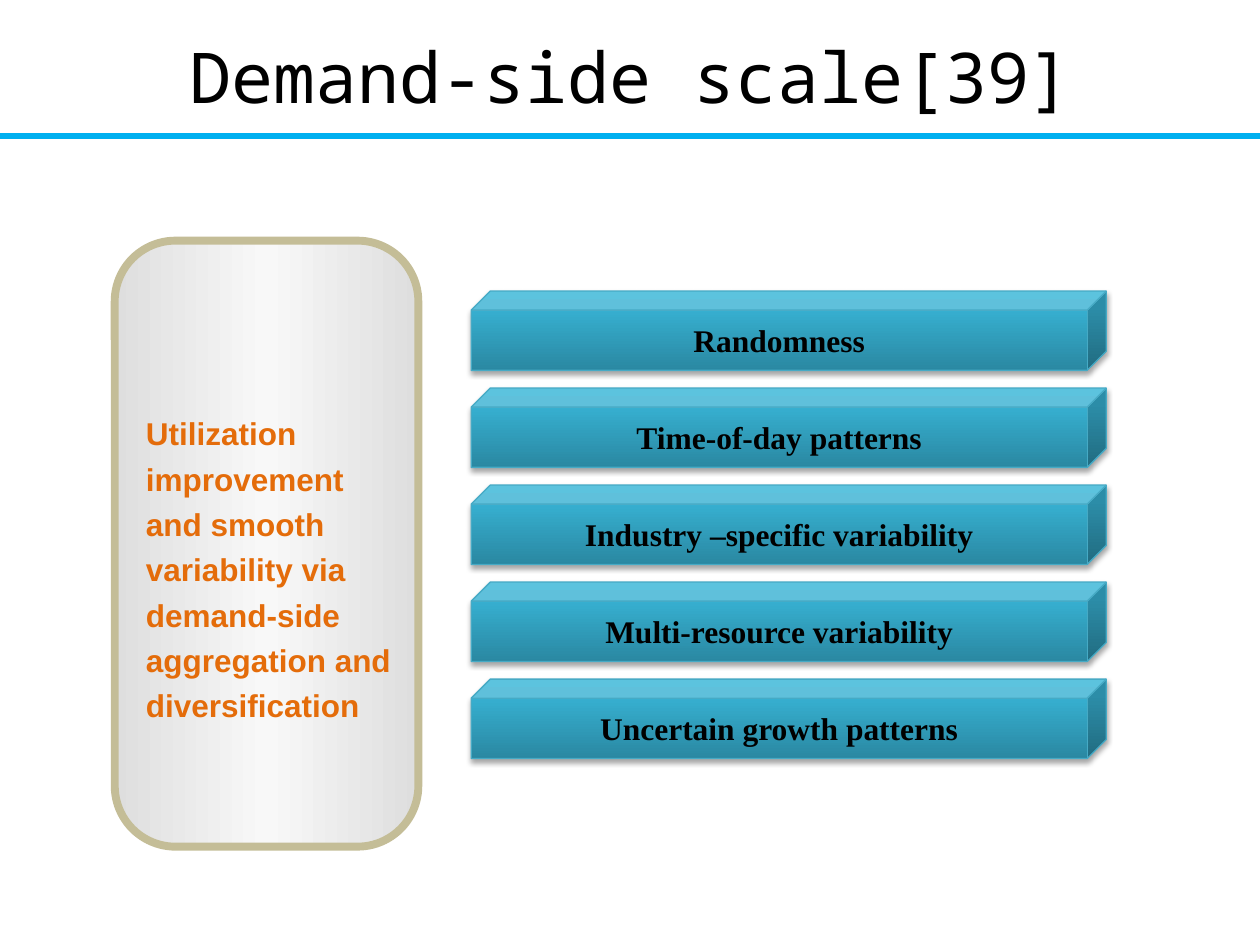
from dataclasses import dataclass

from lxml import etree
from pptx import Presentation
from pptx import util as u
from pptx.dml.color import RGBColor
from pptx.enum import shapes, text
from pptx.oxml import parse_xml
from pptx.oxml.ns import nsdecls, qn


@dataclass(frozen=True)
class Theme:
    ink: str = "000000"
    rule: str = "00B0F0"
    accent: str = "E46C0A"
    panel_edge: str = "C4BD97"
    panel_stops: tuple = ((0, "DEDEDE"), (50, "F8F8F8"), (100, "DEDEDE"))
    bar_edge: str = "46AAC5"
    bar_stops: tuple = ((0, "2A88A2"), (80, "37B1D2"), (100, "34B4D6"))
    title_size: int = 40
    body_size: int = 18
    title_face: str = "Noto Sans Mono"
    panel_face: str = "Arial"
    bar_face: str = "Times New Roman"


THEME = Theme()
DRIVERS = (
    "Randomness",
    "Time-of-day patterns",
    "Industry –specific variability",
    "Multi-resource variability",
    "Uncertain growth patterns",
)


def write(frame, words, color, frame_format, para_format, font_format):
    for name, value in frame_format.items():
        setattr(frame, name, value)
    para = frame.paragraphs[0]
    for name, value in para_format.items():
        setattr(para, name, value)
    span = para.add_run()
    span.text = words
    for name, value in font_format.items():
        setattr(span.font, name, value)
    span.font.color.rgb = RGBColor.from_string(color)


def set_line(line, color, points):
    line.color.rgb = RGBColor.from_string(color)
    line.width = u.Pt(points)


def set_gradient(shape, stops, angle):
    shape.fill.solid()
    properties = shape._element.spPr
    marks = "".join(
        f'<a:gs pos="{percent * 1000}"><a:srgbClr val="{color}"/></a:gs>'
        for percent, color in stops
    )
    gradient = parse_xml(
        f'<a:gradFill {nsdecls("a")} rotWithShape="1"><a:gsLst>{marks}</a:gsLst>'
        f'<a:lin ang="{angle * 60000}" scaled="0"/></a:gradFill>'
    )
    properties.replace(properties.find(qn("a:solidFill")), gradient)


def add_drop_shadow(shape):
    shape.shadow.inherit = False
    shape._element.spPr.find(qn("a:effectLst")).append(parse_xml(
        f'<a:outerShdw {nsdecls("a")} blurRad="{u.Pt(3.1)}" dist="{u.Pt(1.8)}" '
        'dir="5400000" rotWithShape="0"><a:srgbClr val="000000">'
        '<a:alpha val="35000"/></a:srgbClr></a:outerShdw>'
    ))


def place_title(page, left, top, width, height):
    title = page.shapes.title
    title.left, title.top, title.width, title.height = left, top, width, height
    write(
        title.text_frame, "Demand-side scale[39]", THEME.ink,
        {"vertical_anchor": text.MSO_ANCHOR.MIDDLE, "word_wrap": True},
        {"alignment": text.PP_ALIGN.CENTER},
        {"size": u.Pt(THEME.title_size), "name": THEME.title_face},
    )


def add_rule(page, left, top, width):
    rule = page.shapes.add_connector(
        shapes.MSO_CONNECTOR.STRAIGHT, left, top, left + width, top
    )
    set_line(rule.line, THEME.rule, 3)
    etree.SubElement(rule._element.spPr, qn("a:effectLst"))


def add_panel(page, left, top, width, height):
    """Draw the upright panel as a wide rounded box turned by 90 degrees."""
    shift = (height - width) // 2
    panel = page.shapes.add_shape(
        shapes.MSO_SHAPE.ROUNDED_RECTANGLE, left - shift, top + shift, height, width
    )
    panel.rotation = 90
    panel.adjustments[0] = 0.2
    panel.shadow.inherit = False
    set_gradient(panel, THEME.panel_stops, 90)
    set_line(panel.line, THEME.panel_edge, 4.5)

    box = page.shapes.add_textbox(
        left + u.Inches(0.15), top + u.Inches(1.27),
        width - u.Inches(0.2), u.Inches(2.65),
    )
    write(
        box.text_frame,
        "Utilization improvement and smooth variability via demand-side "
        "aggregation and diversification",
        THEME.accent,
        {"word_wrap": True, "auto_size": text.MSO_AUTO_SIZE.SHAPE_TO_FIT_TEXT},
        {"line_spacing": 1.2},
        {"size": u.Pt(THEME.body_size), "name": THEME.panel_face, "bold": True},
    )


def add_bars(page, left, top, width, height):
    """Stack one bar for each driver, with equal gaps over the given height."""
    bar_height = u.Inches(0.63)
    pitch = (height - bar_height) // (len(DRIVERS) - 1)
    for index, driver in enumerate(DRIVERS):
        bar = page.shapes.add_shape(
            shapes.MSO_SHAPE.CUBE, left, top + index * pitch, width, bar_height
        )
        bar.adjustments[0] = 0.24
        set_gradient(bar, THEME.bar_stops, 270)
        set_line(bar.line, THEME.bar_edge, 0.75)
        add_drop_shadow(bar)
        write(
            bar.text_frame, driver, THEME.ink,
            {"vertical_anchor": text.MSO_ANCHOR.MIDDLE, "word_wrap": False},
            {"alignment": text.PP_ALIGN.CENTER},
            {"size": u.Pt(THEME.body_size), "name": THEME.bar_face, "bold": True},
        )


def main():
    deck = Presentation()
    deck.slide_width, deck.slide_height = u.Inches(10), u.Inches(7.5)
    page = deck.slides.add_slide(deck.slide_layouts.get_by_name("Title Only"))
    place_title(page, u.Inches(0.5), u.Inches(0.05), u.Inches(9), u.Inches(1.1))
    add_panel(page, u.Inches(0.91), u.Inches(1.91), u.Inches(2.41), u.Inches(4.81))
    add_bars(page, u.Inches(3.74), u.Inches(2.31), u.Inches(5.04), u.Inches(3.71))
    add_rule(page, u.Inches(0), u.Inches(1.08), deck.slide_width)
    deck.save("out.pptx")


if __name__ == "__main__":
    main()
